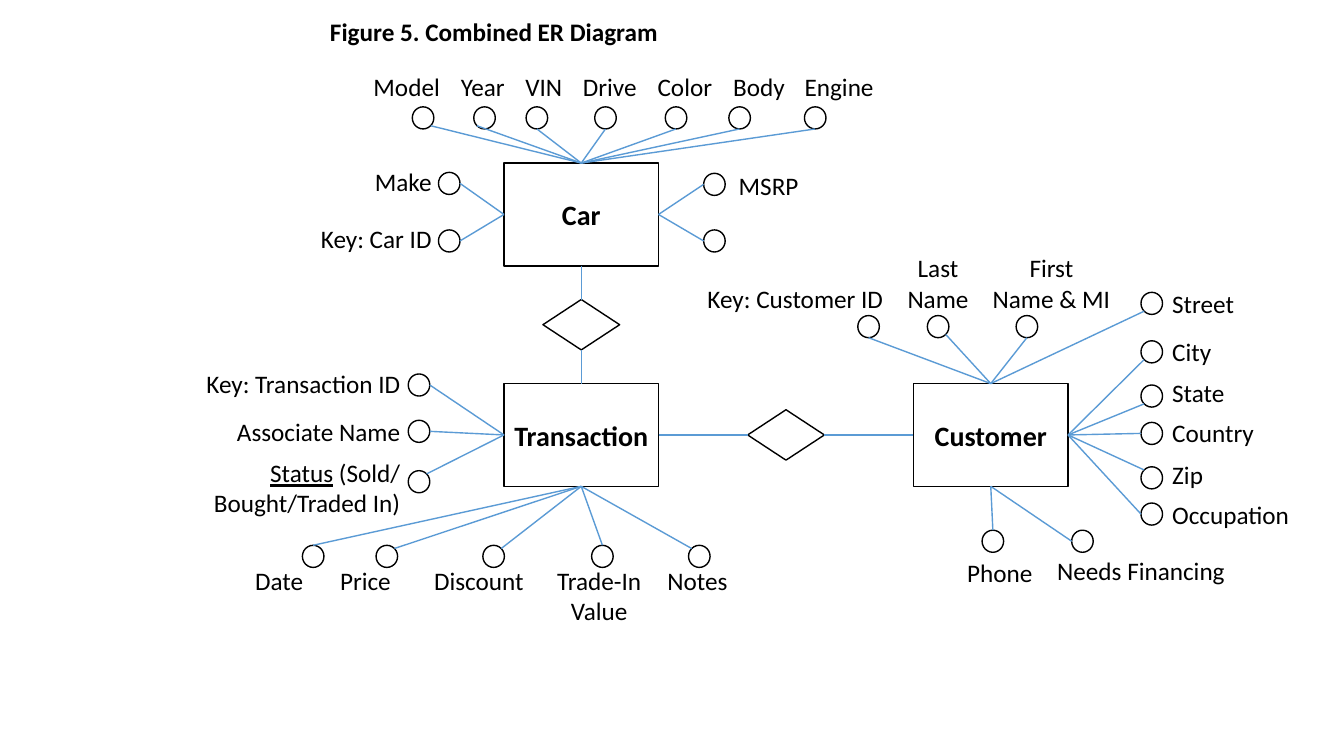
from lxml.etree import SubElement
from pptx import Presentation
from pptx.dml.color import RGBColor
from pptx.enum.shapes import MSO_CONNECTOR, MSO_SHAPE
from pptx.enum.text import MSO_ANCHOR, MSO_AUTO_SIZE, PP_ALIGN
from pptx.oxml.ns import qn
from pptx.util import Pt

BLACK = RGBColor(0x00, 0x00, 0x00)
BLUE = RGBColor(0x5B, 0x9B, 0xD5)

BOX_WIDTH, BOX_HEIGHT = 110.4, 73.4
CIRCLE_WIDTH, CIRCLE_HEIGHT = 15.4, 15.8
DIAMOND_WIDTH, DIAMOND_HEIGHT = 54.8, 36
LINE_HEIGHT, PADDING = 22, 7.2

# Connection sites of rectangles and diamonds
TOP, LEFT, BOTTOM, RIGHT = range(4)

# Where a line meets a circle, as a direction from its centre
N, S, W, E = (0, -1), (0, 1), (-1, 0), (1, 0)
NW, NE, SW, SE = (-0.71, -0.71), (0.71, -0.71), (-0.71, 0.71), (0.71, 0.71)

# How far left of its anchor point a label starts, as a share of its width
ANCHOR_SHARE = {PP_ALIGN.LEFT: 0, PP_ALIGN.CENTER: 0.5, PP_ALIGN.RIGHT: 1}

# Each attribute, relative to its entity box:
# text, circle left, circle top, meeting point, label anchor, label top, label width
CAR = {
    (TOP, PP_ALIGN.CENTER): [
        ("Model", -65.5, -40.2, SE, -69.5, -69, 62.6),
        ("Year", -21.6, -40.2, SW, -15.1, -69, 46),
        ("VIN", 15.8, -40.2, S, 28.4, -69, 41),
        ("Drive", 64.8, -40.2, S, 75.6, -69, 53.3),
        ("Color", 115.2, -40.2, S, 129.2, -69, 54),
        ("Body", 160.6, -40.2, S, 182.2, -69, 52),
        ("Engine", 214.6, -40.2, S, 239.4, -69, 64),
    ],
    (LEFT, PP_ALIGN.RIGHT): [
        ("Make", -46.8, 6.6, E, -44.6, -1.3, 55.4),
        ("Key: Car ID", -46.8, 47.7, E, -44.6, 39.7, 94.3),
    ],
    (RIGHT, PP_ALIGN.LEFT): [
        ("MSRP", 142.6, 7.3, W, 160.6, 1.6, 57.6),
        ("", 142.6, 47.7, W, 0, 0, 0),
    ],
}
TRANSACTION = {
    (LEFT, PP_ALIGN.RIGHT): [
        ("Key: Transaction ID", -68.4, -6.9, E, -67, -14.8, 154.8),
        ("Associate Name", -68.4, 26.2, E, -67, 19.8, 132.5),
        ("Status (Sold/\nBought/Traded In)", -68.4, 62.2, NE, -67, 49.3, 149),
    ],
    (BOTTOM, PP_ALIGN.CENTER): [
        ("Date", -144, 115.5, N, -160.6, 126.3, 49),
        ("Price", -91.4, 115.5, NE, -99, 126.3, 51),
        ("Discount", -15.1, 115.5, NE, -18, 126.3, 79),
        ("Trade-In\nValue", 62.6, 115.5, N, 68, 126.3, 75.6),
        ("Notes", 131.8, 115.5, NW, 138.2, 126.3, 57.6),
    ],
}
CUSTOMER = {
    (TOP, PP_ALIGN.CENTER): [
        ("Key: Customer ID", -39.8, -48.6, S, -84.4, -75.3, 141),
        ("Last\nName", 9.9, -48.6, SE, 17.5, -97, 58.3),
        ("First\nName & MI", 73.3, -48.6, S, 98.5, -97, 99.4),
    ],
    (TOP, PP_ALIGN.LEFT): [
        ("Street", 162.5, -65.2, SW, 177.7, -71.7, 59),
    ],
    (RIGHT, PP_ALIGN.LEFT): [
        ("City", 162.5, -30.6, SW, 177.7, -37.1, 42.5),
        ("State", 162.5, 1, SW, 177.7, -8.3, 51.8),
        ("Country", 162.5, 27.7, W, 177.7, 20.5, 73.4),
        ("Zip", 162.5, 59.4, NW, 177.7, 50.7, 36.7),
        ("Occupation", 162.5, 85.3, W, 177.7, 78.8, 99.4),
    ],
    (BOTTOM, PP_ALIGN.CENTER): [
        ("Phone", 49, 104.7, N, 61.7, 120.6, 62),
        ("Needs Financing", 113, 104.7, W, 162.5, 119.1, 135.4),
    ],
}


def write_text(shape, text, size=18, bold=False, align=PP_ALIGN.CENTER,
               anchor=MSO_ANCHOR.TOP, underlined=""):
    frame = shape.text_frame
    frame.auto_size = MSO_AUTO_SIZE.NONE
    frame.word_wrap = False
    frame.vertical_anchor = anchor
    for index, line in enumerate(text.split("\n")):
        paragraph = frame.add_paragraph() if index else frame.paragraphs[0]
        paragraph.alignment = align
        starts_underlined = bool(underlined) and line.startswith(underlined)
        parts = [underlined, line[len(underlined):]] if starts_underlined else [line]
        for part in parts:
            run = paragraph.add_run()
            run.text = part
            font = run.font
            font.name, font.size, font.bold = "Calibri", Pt(size), bold
            font.color.rgb = BLACK
            if starts_underlined and part == underlined:
                font.underline = True


def add_outline(slide, preset, left, top, width, height):
    shape = slide.shapes.add_shape(preset, Pt(left), Pt(top), Pt(width), Pt(height))
    shape.shadow.inherit = False
    shape.fill.background()
    shape.line.color.rgb = BLACK
    shape.line.width = Pt(1)
    return shape


def add_link(slide, start, side, end_x=0, end_y=0):
    line = slide.shapes.add_connector(
        MSO_CONNECTOR.STRAIGHT, Pt(0), Pt(0), Pt(end_x), Pt(end_y))
    line.begin_connect(start, side)
    line.line.color.rgb = BLUE
    line.line.width = Pt(1)
    SubElement(line._element.spPr, qn("a:effectLst"))
    return line


def add_title(slide, left, top, width, height):
    title = slide.shapes.title
    title.left, title.top, title.width, title.height = map(Pt, (left, top, width, height))
    write_text(title, "Figure 5. Combined ER Diagram", bold=True, align=PP_ALIGN.LEFT)


def add_attribute(slide, entity, side, align, left, top, attribute):
    text, circle_x, circle_y, (across, down), label_x, label_y, width = attribute
    # Circle and its line to the entity
    add_outline(slide, MSO_SHAPE.OVAL, left + circle_x, top + circle_y,
                CIRCLE_WIDTH, CIRCLE_HEIGHT)
    add_link(slide, entity, side,
             left + circle_x + CIRCLE_WIDTH / 2 * (1 + across),
             top + circle_y + CIRCLE_HEIGHT / 2 * (1 + down))
    # Label
    if text:
        height = PADDING + LINE_HEIGHT * len(text.split("\n"))
        label = slide.shapes.add_textbox(
            Pt(left + label_x - width * ANCHOR_SHARE[align]), Pt(top + label_y),
            Pt(width), Pt(height))
        write_text(label, text, align=align, underlined="Status")


def add_entity(slide, name, left, top, groups):
    entity = add_outline(slide, MSO_SHAPE.RECTANGLE, left, top, BOX_WIDTH, BOX_HEIGHT)
    write_text(entity, name, size=20, bold=True, anchor=MSO_ANCHOR.MIDDLE)
    for (side, align), attributes in groups.items():
        for attribute in attributes:
            add_attribute(slide, entity, side, align, left, top, attribute)
    return entity


def add_relationship(slide, first, first_side, second, second_side):
    # Diamond halfway between the two entities
    center_x = (first.left + first.width / 2 + second.left + second.width / 2) / 2
    center_y = (first.top + first.height / 2 + second.top + second.height / 2) / 2
    diamond = add_outline(slide, MSO_SHAPE.DIAMOND,
                          center_x / Pt(1) - DIAMOND_WIDTH / 2,
                          center_y / Pt(1) - DIAMOND_HEIGHT / 2,
                          DIAMOND_WIDTH, DIAMOND_HEIGHT)
    # The diamond's facing side is the far entity's own side
    add_link(slide, first, first_side).end_connect(diamond, second_side)
    add_link(slide, second, second_side).end_connect(diamond, first_side)


def main():
    presentation = Presentation()
    presentation.slide_width, presentation.slide_height = Pt(960), Pt(540)
    slide = presentation.slides.add_slide(presentation.slide_layouts[5])
    add_title(slide, 228.5, 8, 250.5, 29)
    car = add_entity(slide, "Car", 360, 116.5, CAR)
    transaction = add_entity(slide, "Transaction", 360, 274, TRANSACTION)
    customer = add_entity(slide, "Customer", 652.5, 274, CUSTOMER)
    add_relationship(slide, car, BOTTOM, transaction, TOP)
    add_relationship(slide, transaction, RIGHT, customer, LEFT)
    presentation.save("out.pptx")


if __name__ == "__main__":
    main()
